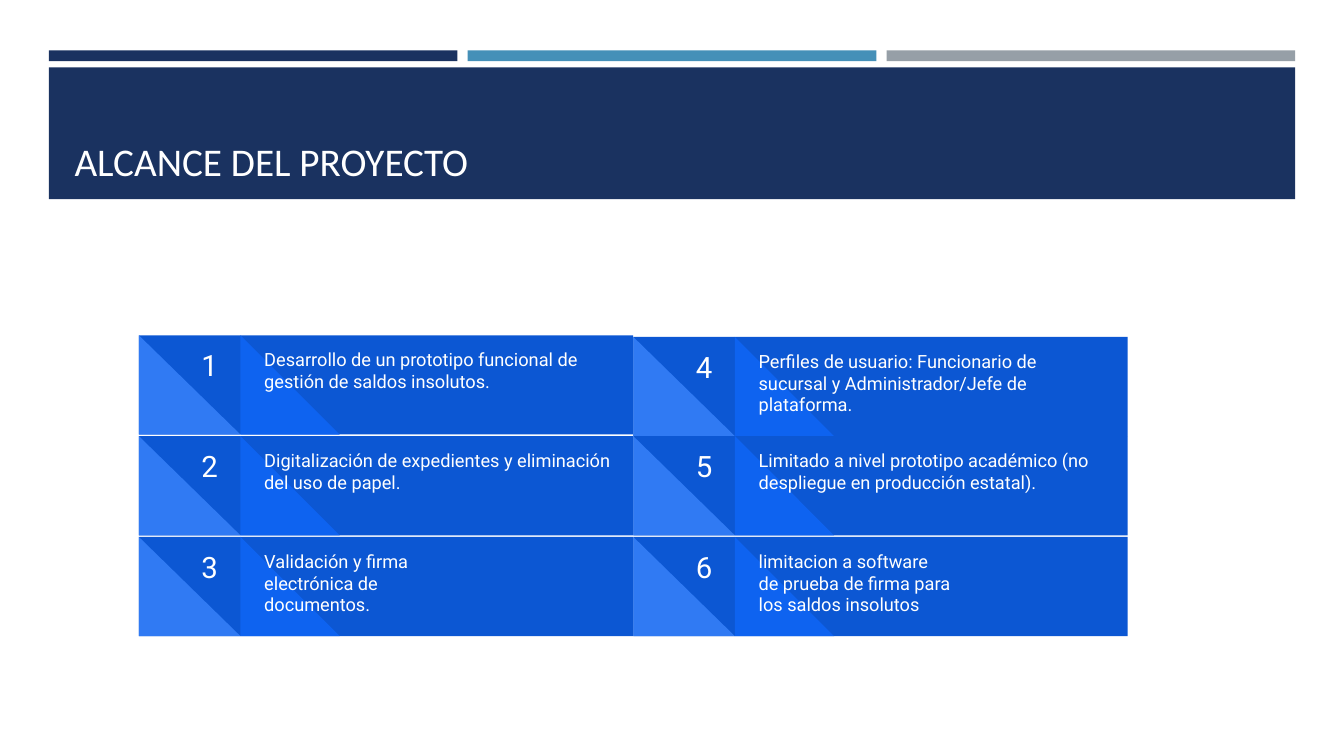
from pptx import Presentation
from pptx.dml.color import RGBColor
from pptx.enum.shapes import MSO_SHAPE as Preset
from pptx.enum.text import MSO_ANCHOR as Anchor, PP_ALIGN as Align
from pptx.util import Cm, Pt

NAVY, SKY, GREY, WHITE = "1A3260", "4590B8", "969FA7", "FFFFFF"
CARD, FOLD, CORNER = "0C57D3", "0E63F0", "307AF3"

CARD_WIDTH, CARD_HEIGHT, ROW_PITCH = 12.46, 2.5, 2.54
GRID_LEFT, GRID_TOP = 3.5, 8.45
ROWS = 3

# Wording, text width and downward shift of each card, column by column
SCOPE = [
    ("Desarrollo de un prototipo funcional de gestión de saldos insolutos.", 9.4, 0),
    ("Digitalización de expedientes y eliminación del uso de papel.", 9.63, 0),
    ("Validación y firma electrónica de documentos.", 5.51, 0),
    ("Perfiles de usuario: Funcionario de sucursal y Administrador/Jefe de plataforma.", 9.4, 0.04),
    ("Limitado a nivel prototipo académico (no despliegue en producción estatal).", 9.63, 0),
    ("limitacion a software de prueba de firma para los saldos insolutos", 5.51, 0),
]


def color(value):
    return RGBColor.from_string(value)


def add_block(shapes, preset, left, top, width, height, fill):
    block = shapes.add_shape(preset, Cm(left), Cm(top), Cm(width), Cm(height))
    block.shadow.inherit = False
    block.fill.solid()
    block.fill.fore_color.rgb = color(fill)
    block.line.fill.background()


def add_text(shapes, left, top, width, height, text, font, size, inset,
             anchor=Anchor.TOP, align=Align.LEFT):
    """Write white text; inset gives the horizontal and vertical margins."""
    box = shapes.add_textbox(Cm(left), Cm(top), Cm(width), Cm(height))
    frame = box.text_frame
    frame.word_wrap = True
    frame.vertical_anchor = anchor
    frame.margin_left = frame.margin_right = Cm(inset[0])
    frame.margin_top = frame.margin_bottom = Cm(inset[1])
    para = frame.paragraphs[0]
    para.text = text
    para.alignment = align
    para.font.name = font
    para.font.size = Pt(size)
    para.font.color.rgb = color(WHITE)


def add_header(page, left, top, width, title):
    gap = 0.26
    bar_width = (width - 2 * gap) / 3
    for index, fill in enumerate((NAVY, SKY, GREY)):
        add_block(page.shapes, Preset.RECTANGLE, left + index * (bar_width + gap),
                  top, bar_width, 0.27, fill)
    add_block(page.shapes, Preset.RECTANGLE, left, top + 0.43, width, 3.32, NAVY)
    add_text(page.shapes, left + 0.4, top + 0.69, width - 0.8, 2.82, title,
             "Calibri", 28, (0.25, 0.13), Anchor.BOTTOM)


def add_card(page, left, top, number, text, text_width):
    shapes = page.shapes.add_group_shape().shapes
    add_block(shapes, Preset.RECTANGLE, left, top, CARD_WIDTH, CARD_HEIGHT, CARD)
    add_block(shapes, Preset.RIGHT_TRIANGLE, left + 2.56, top, 2.5, CARD_HEIGHT, FOLD)
    add_block(shapes, Preset.RIGHT_TRIANGLE, left, top, 2.56, CARD_HEIGHT, CORNER)
    add_text(shapes, left + 1, top, 1.57, 1.52, str(number), "Roboto", 21,
             (0.33, 0.33), Anchor.BOTTOM, Align.CENTER)
    add_text(shapes, left + 2.83, top, text_width, CARD_HEIGHT, text, "Roboto", 13,
             (0.33, 0.33))


def add_scope_grid(page, left, top):
    for index, (text, text_width, shift) in enumerate(SCOPE):
        column, row = divmod(index, ROWS)
        add_card(page, left + column * CARD_WIDTH, top + row * ROW_PITCH + shift,
                 index + 1, text, text_width)


def main():
    deck = Presentation()
    deck.slide_width, deck.slide_height = Cm(33.87), Cm(19.05)
    page = deck.slides.add_slide(deck.slide_layouts[6])
    add_header(page, 1.23, 1.27, 31.41, "ALCANCE DEL PROYECTO")
    add_scope_grid(page, GRID_LEFT, GRID_TOP)
    deck.save("out.pptx")


if __name__ == "__main__":
    main()
